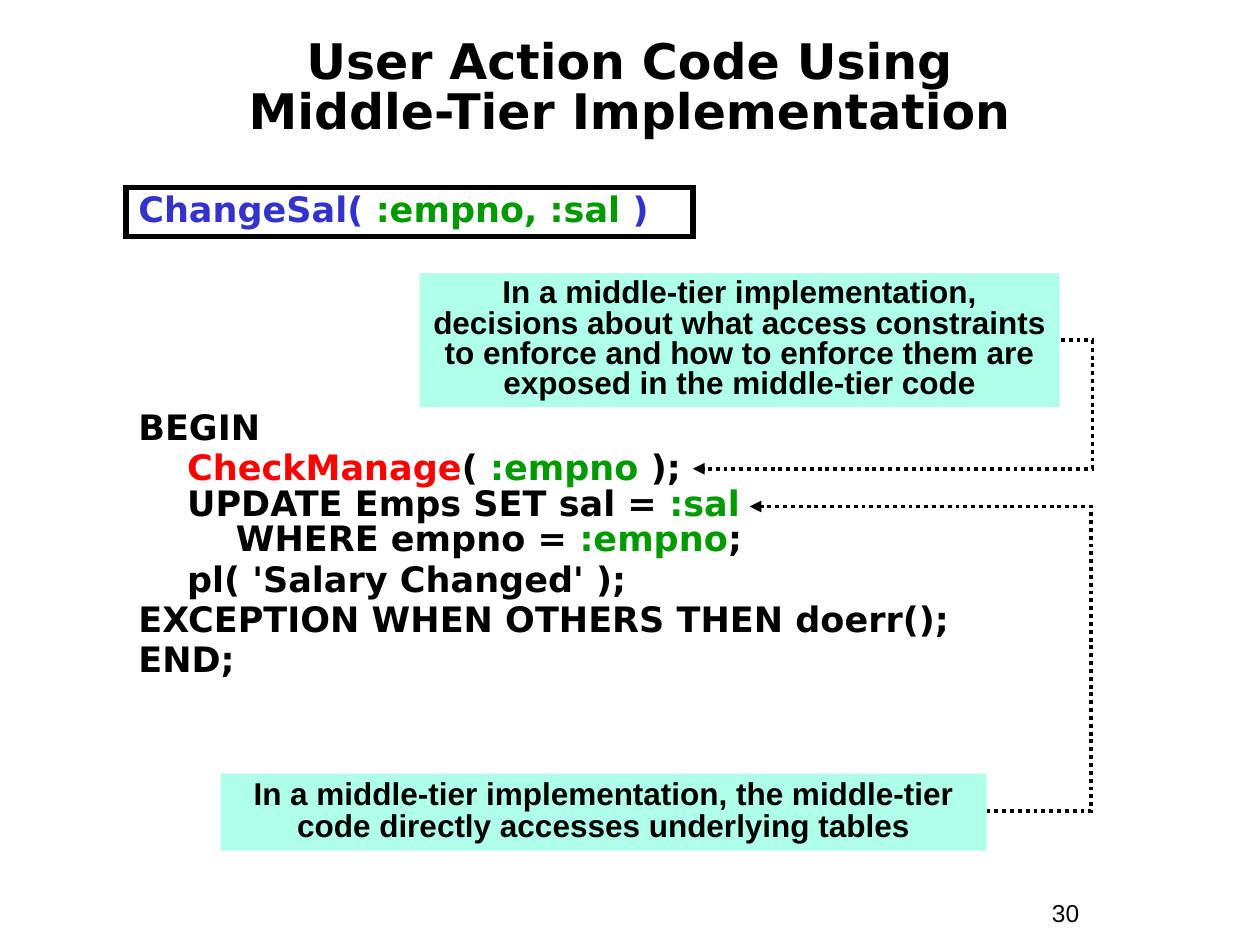
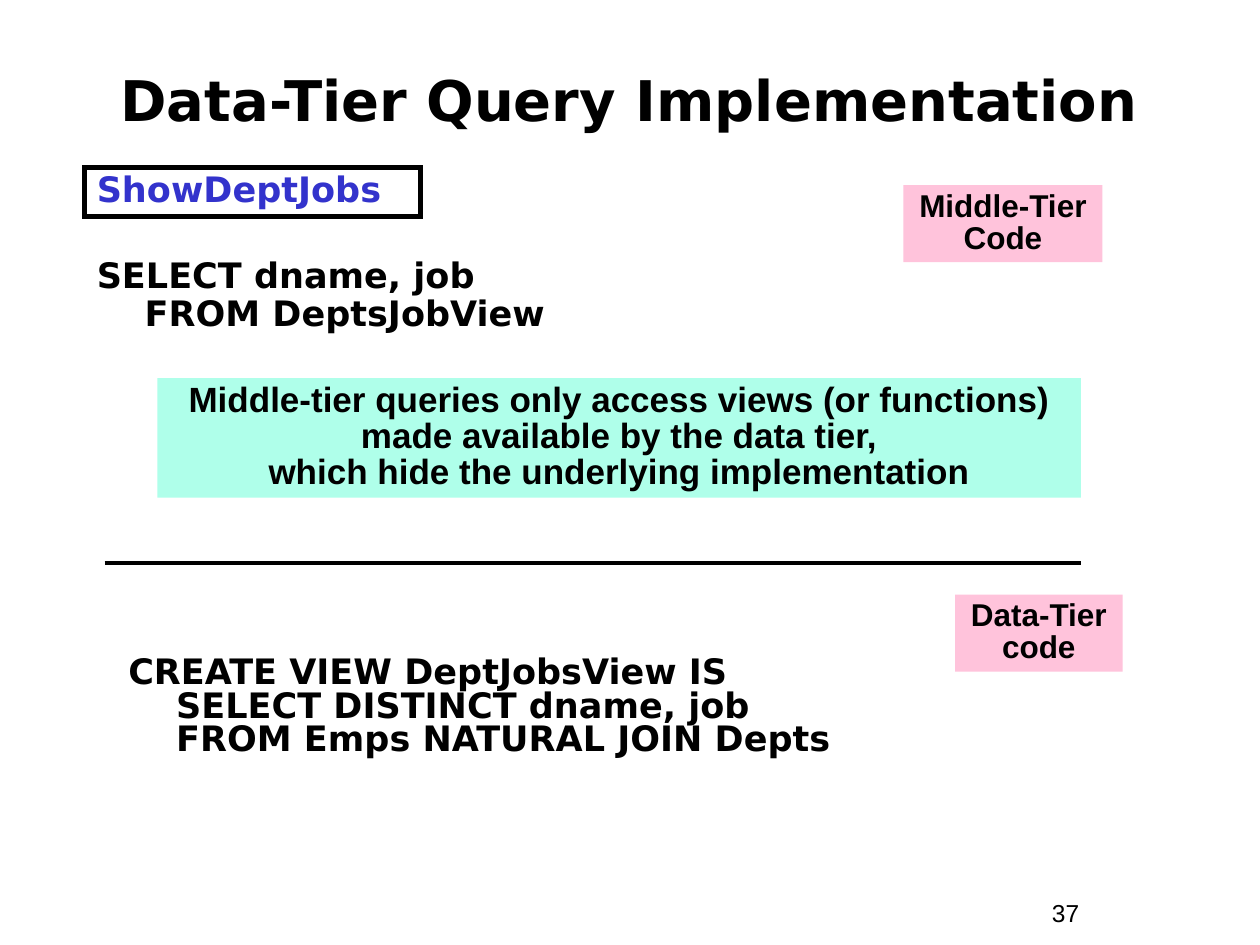
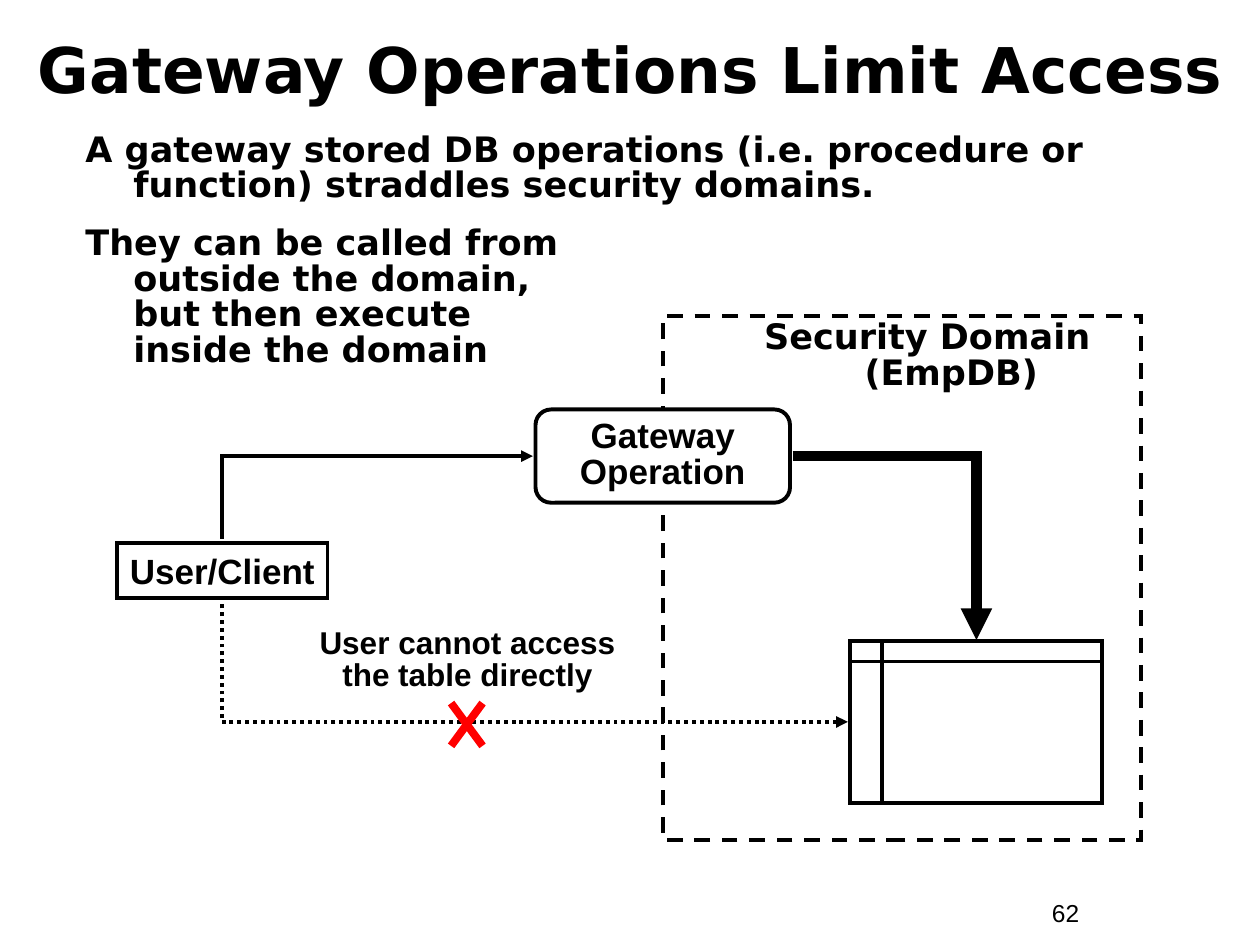
from dataclasses import dataclass

from lxml.etree import SubElement as Sub
from pptx import Presentation
from pptx.dml.color import RGBColor as Rgb
from pptx.enum.dml import MSO_LINE as Dash
from pptx.enum.shapes import MSO_CONNECTOR as Link, MSO_SHAPE as Form
from pptx.enum.text import MSO_ANCHOR as Anchor, PP_ALIGN as Align
from pptx.oxml.ns import qn
from pptx.util import Inches, Pt

DECK = [
    {
        "page": "30",
        "title": ("User Action Code Using\nMiddle-Tier Implementation",
                  (0.33, 0.25, 9.33, 0.92), dict(size="small", lead=0.85)),
        "parts": [
            ("head", (1, 1.49, 4.5, 0.39),
             [[("ChangeSal( ", "blue"), (":empno, :sal ", "green"), (")", "blue")]], {}),
            ("code", (1, 3.22, 7.33, 2.23), [
                "BEGIN",
                [("    ", "black"), ("CheckManage", "red"), ("( ", "black"),
                 (":empno", "green"), (" );\n    UPDATE Emps SET sal = ", "black"),
                 (":sal\n", "green"), ("        WHERE empno = ", "black"),
                 (":empno", "green"), (";", "black")],
                "    pl( 'Salary Changed' );",
                "EXCEPTION WHEN OTHERS THEN doerr();",
                "END;"], dict(gap=2.5)),
            ("note", (1.75, 6.14, 6.08, 0.61),
             ["In a middle-tier implementation, the middle-tier code directly "
              "accesses underlying tables"], {}),
            ("note", (3.33, 2.17, 5.08, 1.06),
             ["In a middle-tier implementation, decisions about what access "
              "constraints to enforce and how to enforce them are exposed in "
              "the middle-tier code"], dict(lead=0.8)),
        ],
        "lines": [
            ((7.83, 6.44), (5.95, 4.02), dict(via=8.66, tail=True, dash=Dash.ROUND_DOT)),
            ((8.42, 2.7), (5.5, 3.72), dict(via=8.67, tail=True, dash=Dash.ROUND_DOT)),
        ],
    },
    {
        "page": "37",
        "title": ("Data-Tier Query Implementation", (0.33, 0.33, 9.33, 0.92),
                  dict(size="mid")),
        "parts": [
            ("head", (0.67, 1.33, 2.67, 0.39), [[("ShowDeptJobs", "blue")]], {}),
            ("code", (0.67, 2, 7.33, 0.92), ["SELECT dname, job\nFROM DeptsJobView"],
             dict(hang=0.38, lead=0.9)),
            ("tag", (7.17, 1.47, 1.58, 0.61), ["Middle-Tier Code"], {}),
            ("tag", (7.58, 4.72, 1.33, 0.61), ["Data-Tier\ncode"], {}),
            ("code", (0.92, 5.17, 7.33, 0.92),
             ["CREATE VIEW DeptJobsView IS\nSELECT DISTINCT dname, job\n"
              "FROM Emps NATURAL JOIN Depts"], dict(hang=0.38, lead=0.8)),
            ("note", (1.25, 3, 7.33, 0.95),
             ["Middle-tier queries only access views (or functions) made available "
              "by the data tier,\nwhich hide the underlying implementation"],
             dict(size="body")),
        ],
        "lines": [((0.83, 4.47), (8.58, 4.47), {})],
    },
    {
        "page": "62",
        "title": ("Gateway Operations Limit Access", (0.17, 0.08, 9.67, 0.92),
                  dict(size="big")),
        "parts": [
            ("frame", (5.26, 2.51, 3.8, 4.16), [], dict(dash=Dash.DASH)),
            ("frame", (6.75, 5.09, 2, 1.28), [], dict(form=Form.FLOWCHART_INTERNAL_STORAGE)),
            ("node", (0.93, 4.31, 1.67, 0.44), ["User/Client"], dict(wrap=False)),
            ("node", (4.25, 3.25, 2.02, 0.74), ["Gateway Operation"],
             dict(form=Form.ROUNDED_RECTANGLE, fill="white", lead=0.85)),
            ("label", (2.42, 4.94, 2.58, 0.64), ["User cannot access the table directly"], {}),
            ("code", (0.58, 1.01, 8.5, 1.98),
             ["A gateway stored DB operations (i.e. procedure or function) "
              "straddles security domains.",
              "They can be called from\noutside the domain,\n"
              "but then execute\ninside the domain"], dict(hang=0.38, gap=12.5)),
            ("code", (5.9, 2.5, 2.92, 0.67), ["Security Domain\n(EmpDB)"],
             dict(hang=0.38, align=Align.CENTER)),
        ],
        "lines": [
            ((6.73, 5.73), (1.76, 4.78), dict(turn=True, head=True, dash=Dash.ROUND_DOT)),
            ((4.23, 3.62), (1.76, 4.28), dict(turn=True, head=True)),
            ((6.29, 3.62), (7.75, 5.08), dict(turn=True, tail=True, width=6)),
            ((3.58, 5.58), (3.83, 5.92), dict(color="red", width=4.5)),
            ((3.83, 5.58), (3.58, 5.92), dict(color="red", width=4.5)),
        ],
    },
]


@dataclass(frozen=True)
class Theme:
    black: str = "000000"
    white: str = "FFFFFF"
    blue: str = "3333CC"
    green: str = "009900"
    red: str = "FF0000"
    mint: str = "AFFFEA"
    pink: str = "FFC3DB"
    sans: str = "Arial"
    mono: str = "DejaVu Sans"
    page: int = 14
    note: int = 18
    body: int = 20
    small: int = 28
    mid: int = 32
    big: int = 36
    line: float = 2.25


T = Theme()
LABEL = dict(font=T.sans, size="note", align=Align.CENTER, lead=0.85)
STYLE = {
    "title": dict(size="big", align=Align.CENTER, anchor=Anchor.MIDDLE),
    "page": dict(font=T.sans, size="page", bold=False),
    "head": dict(edge=3, lead=0.85),
    "code": dict(lead=0.85),
    "label": LABEL,
    "note": LABEL | dict(fill="mint"),
    "tag": LABEL | dict(fill="pink"),
    "frame": dict(edge=T.line),
    "node": dict(font=T.sans, align=Align.CENTER, anchor=Anchor.MIDDLE, edge=T.line),
}


def tint(name):
    return Rgb.from_string(getattr(T, name))


def stroke(item, color="black", width=T.line, dash=None, head=False, tail=False):
    line = item.line
    line.color.rgb = tint(color)
    line.width = Pt(width)
    if dash:
        line.dash_style = dash
    ln = item._element.spPr.find(qn("a:ln"))
    Sub(ln, qn("a:miter"), lim="800000")
    for name, on in (("a:headEnd", head), ("a:tailEnd", tail)):
        if on:
            Sub(ln, qn(name), type="triangle")


def text(slide, box, paras, font=T.mono, size="body", bold=True, align=Align.LEFT,
         anchor=Anchor.TOP, lead=1.0, gap=0, hang=0, wrap=True,
         fill=None, edge=None, dash=None, form=Form.RECTANGLE):
    place = [Inches(v) for v in box]
    if fill or edge:
        item = slide.shapes.add_shape(form, *place)
        item.shadow.inherit = False
        if fill:
            item.fill.solid()
            item.fill.fore_color.rgb = tint(fill)
        else:
            item.fill.background()
        if edge:
            stroke(item, width=edge, dash=dash)
        else:
            item.line.fill.background()
    else:
        item = slide.shapes.add_textbox(*place)
    frame = item.text_frame
    frame.word_wrap = wrap
    frame.vertical_anchor = anchor
    for i, runs in enumerate(paras):
        para = frame.add_paragraph() if i else frame.paragraphs[0]
        para.alignment = align
        para.line_spacing = lead
        if i:
            para.space_before = Pt(gap)
        if hang:
            props = para._p.get_or_add_pPr()
            props.set("marL", str(Inches(hang)))
            props.set("indent", str(-Inches(hang)))
        for words, color in [(runs, "black")] if isinstance(runs, str) else runs:
            for j, row in enumerate(words.split("\n")):
                if j:
                    para.add_line_break()
                if row:
                    run = para.add_run()
                    run.text = row
                    run.font.name = font
                    run.font.size = Pt(getattr(T, size))
                    run.font.bold = bold
                    run.font.color.rgb = tint(color)


def join(slide, start, end, via=None, turn=False, **look):
    kind = Link.ELBOW if via or turn else Link.STRAIGHT
    item = slide.shapes.add_connector(kind, *[Inches(v) for v in start + end])
    stroke(item, **look)
    props = item._element.spPr
    geom = props.find(qn("a:prstGeom"))
    if turn:
        geom.set("prst", "bentConnector2")
    if via:
        bend = round((via - start[0]) / (end[0] - start[0]) * 100000)
        Sub(geom.find(qn("a:avLst")), qn("a:gd"), name="adj1", fmla=f"val {bend}")
    Sub(props, qn("a:effectLst"))


def main():
    deck = Presentation()
    deck.slide_width, deck.slide_height = Inches(10), Inches(7.5)
    for data in DECK:
        slide = deck.slides.add_slide(deck.slide_layouts[6])
        words, box, look = data["title"]
        parts = [("page", (8.25, 7.08, 0.92, 0.34), [data["page"]], {}),
                 ("title", box, [words], look)]
        for style, box, paras, look in parts + data["parts"]:
            text(slide, box, paras, **(STYLE[style] | look))
        for start, end, look in data["lines"]:
            join(slide, start, end, **look)
    deck.save("out.pptx")


if __name__ == "__main__":
    main()
